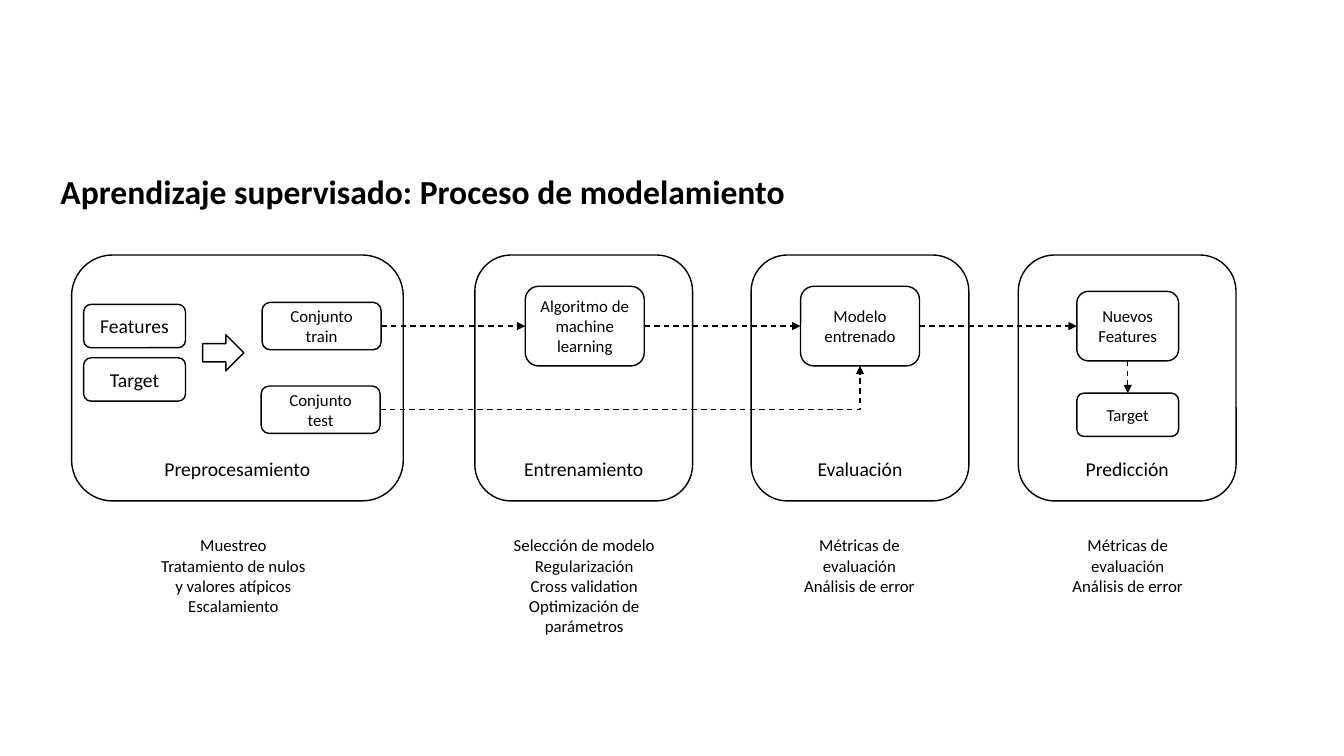
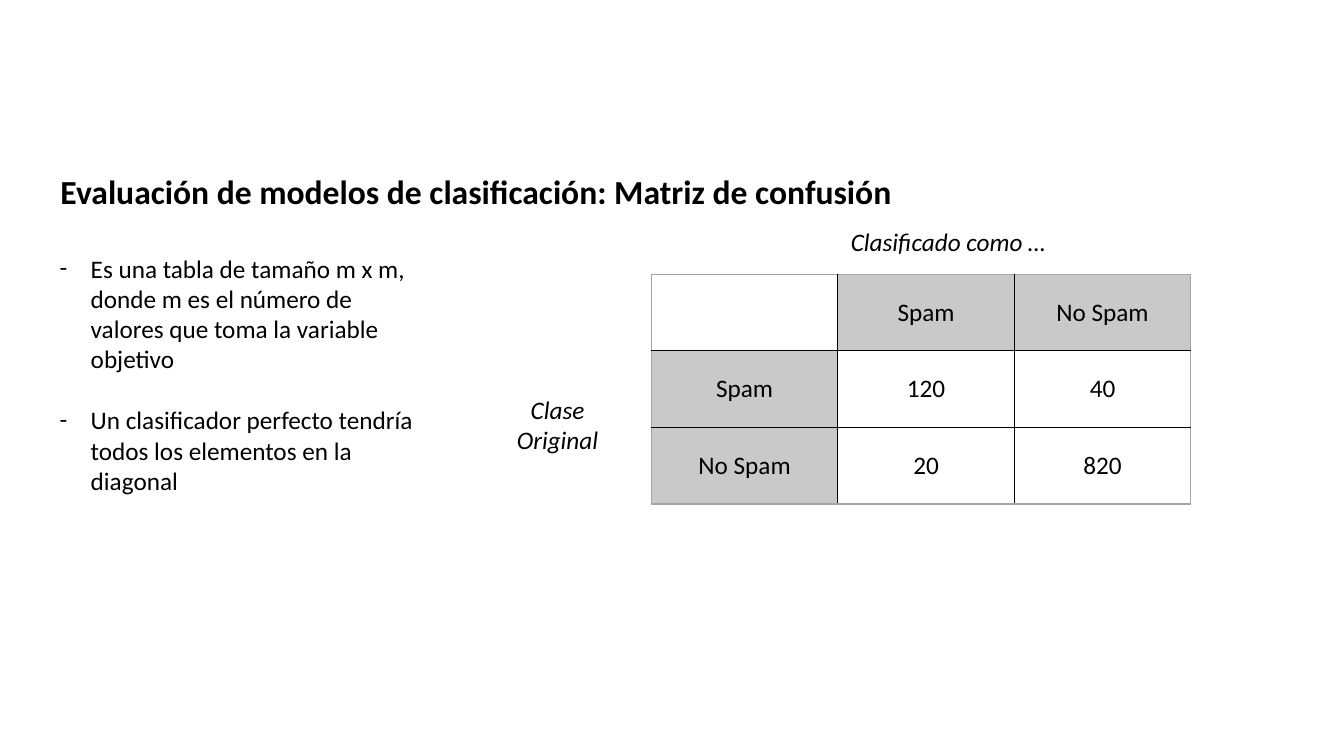
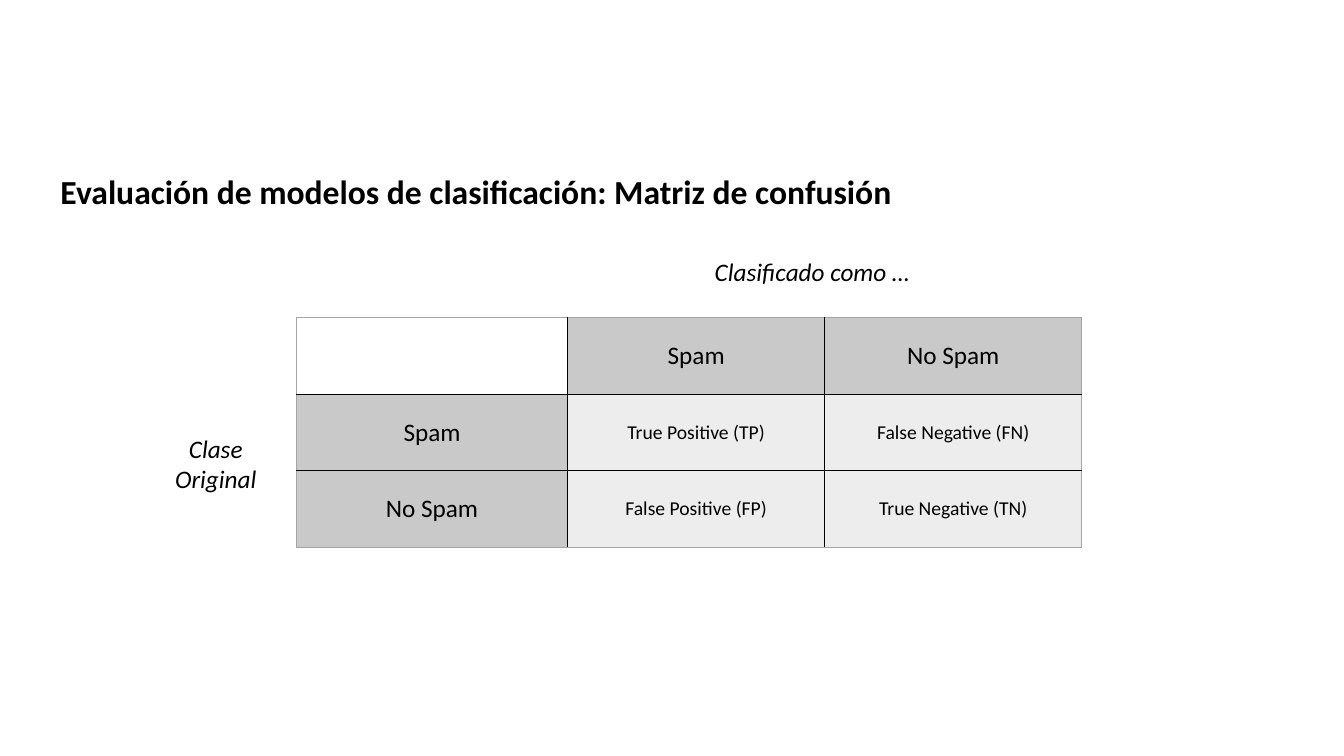
from pptx import Presentation
from pptx.dml.color import RGBColor
from pptx.enum.dml import MSO_LINE
from pptx.enum.shapes import MSO_CONNECTOR as LINK, MSO_SHAPE as SHAPE
from pptx.enum.text import MSO_ANCHOR as ANCHOR, MSO_AUTO_SIZE as FIT, PP_ALIGN as ALIGN
from pptx.oxml.ns import qn
from pptx.util import Inches, Pt
from lxml.etree import SubElement

TOP, LEFT, BOTTOM, RIGHT = range(4)
TITLE_ONLY, TITLE_AND_BODY = 5, 1


def color(hex_code):
    return RGBColor.from_string(hex_code)


def lengths(*values):
    return [Inches(value) for value in values]


class Deck:
    FONT, INK = "Calibri", "000000"
    HEADER, FRAME = "C9C9C9", "A5A5A5"

    def __init__(self):
        self.prs = Presentation()
        self.prs.slide_width, self.prs.slide_height = lengths(13.33, 7.5)
        self.slide = None

    def set_text(self, frame, text, size, align=ALIGN.CENTER, anchor=ANCHOR.TOP,
                 bold=False, italic=False):
        frame.text = text
        frame.vertical_anchor = anchor
        for paragraph in frame.paragraphs:
            paragraph.alignment = align
            for run in paragraph.runs:
                font = run.font
                font.name, font.size = self.FONT, Pt(size)
                font.bold, font.italic = bold, italic
                font.color.rgb = color(self.INK)

    def place(self, placeholder, box):
        (placeholder.left, placeholder.top,
         placeholder.width, placeholder.height) = lengths(*box)
        frame = placeholder.text_frame
        frame.word_wrap, frame.auto_size = True, FIT.NONE
        return frame

    def new_slide(self, title, layout=TITLE_ONLY):
        self.slide = self.prs.slides.add_slide(self.prs.slide_layouts[layout])
        frame = self.place(self.slide.shapes.title, (0.5, 1.65, 9.2, 0.5))
        self.set_text(frame, title, 24, ALIGN.LEFT, bold=True)

    def dash_list(self, items, box, gap):
        frame = self.place(self.slide.placeholders[1], box)
        self.set_text(frame, "\n".join(items), 18, ALIGN.LEFT)
        for index, paragraph in enumerate(frame.paragraphs):
            properties = paragraph._p.get_or_add_pPr()
            properties.set("marL", str(Inches(0.31)))
            properties.set("indent", str(-Inches(0.31)))
            SubElement(properties, qn("a:buFont")).set("typeface", self.FONT)
            SubElement(properties, qn("a:buChar")).set("char", "-")
            paragraph.space_before = Pt(gap if index else 0)

    def label(self, text, box, size, **style):
        frame = self.slide.shapes.add_textbox(*lengths(*box)).text_frame
        frame.word_wrap = True
        self.set_text(frame, text, size, **style)

    def outline(self, box, text="", size=12, kind=SHAPE.ROUNDED_RECTANGLE):
        shape = self.slide.shapes.add_shape(kind, *lengths(*box))
        shape.shadow.inherit = False
        shape.fill.background()
        shape.line.color.rgb, shape.line.width = color(self.INK), Pt(1)
        if text:
            self.set_text(shape.text_frame, text, size, anchor=ANCHOR.MIDDLE)
        return shape

    def arrow(self, source, source_side, target, target_side, corner=False):
        """Dashed arrow between two boxes; corner gives it one right angle."""
        link = self.slide.shapes.add_connector(
            LINK.ELBOW if corner else LINK.STRAIGHT, 0, 0, 0, 0)
        link.begin_connect(source, source_side)
        link.end_connect(target, target_side)
        link.line.color.rgb, link.line.width = color(self.INK), Pt(1)
        link.line.dash_style = MSO_LINE.DASH
        properties = link._element.spPr
        SubElement(properties.find(qn("a:ln")), qn("a:tailEnd")).set("type", "triangle")
        SubElement(properties, qn("a:effectLst"))
        if corner:
            properties.find(qn("a:prstGeom")).set("prst", "bentConnector2")

    def cell_borders(self, cell, edges):
        """Draw 1 pt borders; edges maps each side to True when it is on the frame."""
        properties = cell._tc.get_or_add_tcPr()
        for side, on_frame in edges.items():
            border = SubElement(properties, qn(f"a:ln{side}"), w=str(Pt(1)))
            fill = SubElement(border, qn("a:solidFill"))
            SubElement(fill, qn("a:srgbClr")).set("val", self.FRAME if on_frame else self.INK)

    def confusion_matrix(self, values, corner, widths, class_at, predicted_at,
                         size=18, fill=None):
        classes = ["Spam", "No Spam"]
        rows = [["", *classes]] + [[name, *row] for name, row in zip(classes, values)]
        last = len(rows) - 1
        table = self.slide.shapes.add_table(
            len(rows), len(widths), *lengths(*corner, sum(widths), 2.28)).table
        table.first_row = table.horz_banding = False
        for column, width in zip(table.columns, widths):
            column.width = Inches(width)
        for r, row in enumerate(rows):
            table.rows[r].height = Inches(0.76)
            for c, text in enumerate(row):
                cell = table.cell(r, c)
                is_value = r > 0 and c > 0
                self.cell_borders(cell, {"L": c == 0, "R": c == last,
                                         "T": r == 0, "B": r == last})
                shade = fill if is_value else self.HEADER
                if shade and text:
                    cell.fill.solid()
                    cell.fill.fore_color.rgb = color(shade)
                else:
                    cell.fill.background()
                self.set_text(cell.text_frame, text, size if is_value else 18)
                cell.vertical_anchor = ANCHOR.MIDDLE
        self.label("Clase Original", (*class_at, 1.32, 0.71), 18, italic=True)
        self.label("Clasificado como …", (*predicted_at, 2.46, 0.4), 18,
                   align=ALIGN.LEFT, italic=True)


def modelling_process(deck):
    deck.new_slide("Aprendizaje supervisado: Proceso de modelamiento")
    metrics = "Métricas de evaluación\nAnálisis de error"
    stages = [
        ("Preprocesamiento", 0.71, 3.29, 1.45,
         "Muestreo\nTratamiento de nulos y valores atípicos\nEscalamiento"),
        ("Entrenamiento", 4.71, 2.16, 4.93,
         "Selección de modelo\nRegularización\nCross validation\nOptimización de parámetros"),
        ("Evaluación", 7.45, 2.16, 7.66, metrics),
        ("Predicción", 10.1, 2.16, 10.32, metrics),
    ]
    for name, left, width, tasks_left, tasks in stages:
        deck.outline((left, 2.53, width, 2.44))
        deck.label(name, (left + (width - 1.65) / 2, 4.48, 1.65, 0.34), 14)
        deck.label(tasks, (tasks_left, 5.26, 1.73, 1.11), 12)

    for name, top in (("Features", 3.02), ("Target", 3.55)):
        deck.outline((0.83, top, 1.01, 0.43), name, 14)
    deck.outline((2.01, 3.32, 0.41, 0.36), kind=SHAPE.RIGHT_ARROW)
    train = deck.outline((2.6, 3, 1.18, 0.47), "Conjunto\ntrain")
    test = deck.outline((2.59, 3.83, 1.18, 0.47), "Conjunto\ntest")
    algorithm = deck.outline((5.21, 2.84, 1.18, 0.79), "Algoritmo de machine learning")
    model = deck.outline((7.94, 2.84, 1.18, 0.79), "Modelo entrenado")
    new_features = deck.outline((10.68, 2.89, 1.01, 0.69), "Nuevos Features")
    new_target = deck.outline((10.68, 3.9, 1.01, 0.43), "Target")

    flow = [train, algorithm, model, new_features]
    for source, target in zip(flow, flow[1:]):
        deck.arrow(source, RIGHT, target, LEFT)
    deck.arrow(new_features, BOTTOM, new_target, TOP)
    deck.arrow(test, RIGHT, model, BOTTOM, corner=True)


def matrix_slides(deck):
    title = "Evaluación de modelos de clasificación: Matriz de confusión"
    deck.new_slide(title, TITLE_AND_BODY)
    deck.dash_list(
        ["Es una tabla de tamaño m x m, donde m es el número de valores "
         "que toma la variable objetivo",
         "Un clasificador perfecto tendría todos los elementos en la diagonal"],
        (0.49, 2.46, 3.79, 2.52), gap=22)
    deck.confusion_matrix([["120", "40"], ["20", "820"]], (6.46, 2.72),
                          (1.85, 1.75, 1.75), (4.87, 3.86), (8.34, 2.2))

    deck.new_slide(title)
    deck.confusion_matrix([["True Positive (TP)", "False Negative (FN)"],
                           ["False Positive (FP)", "True Negative (TN)"]],
                          (2.94, 3.15), (2.69, 2.55, 2.55), (1.48, 4.25), (6.99, 2.49),
                          size=14, fill="EDEDED")


def main():
    deck = Deck()
    modelling_process(deck)
    matrix_slides(deck)
    deck.prs.save("out.pptx")


if __name__ == "__main__":
    main()
